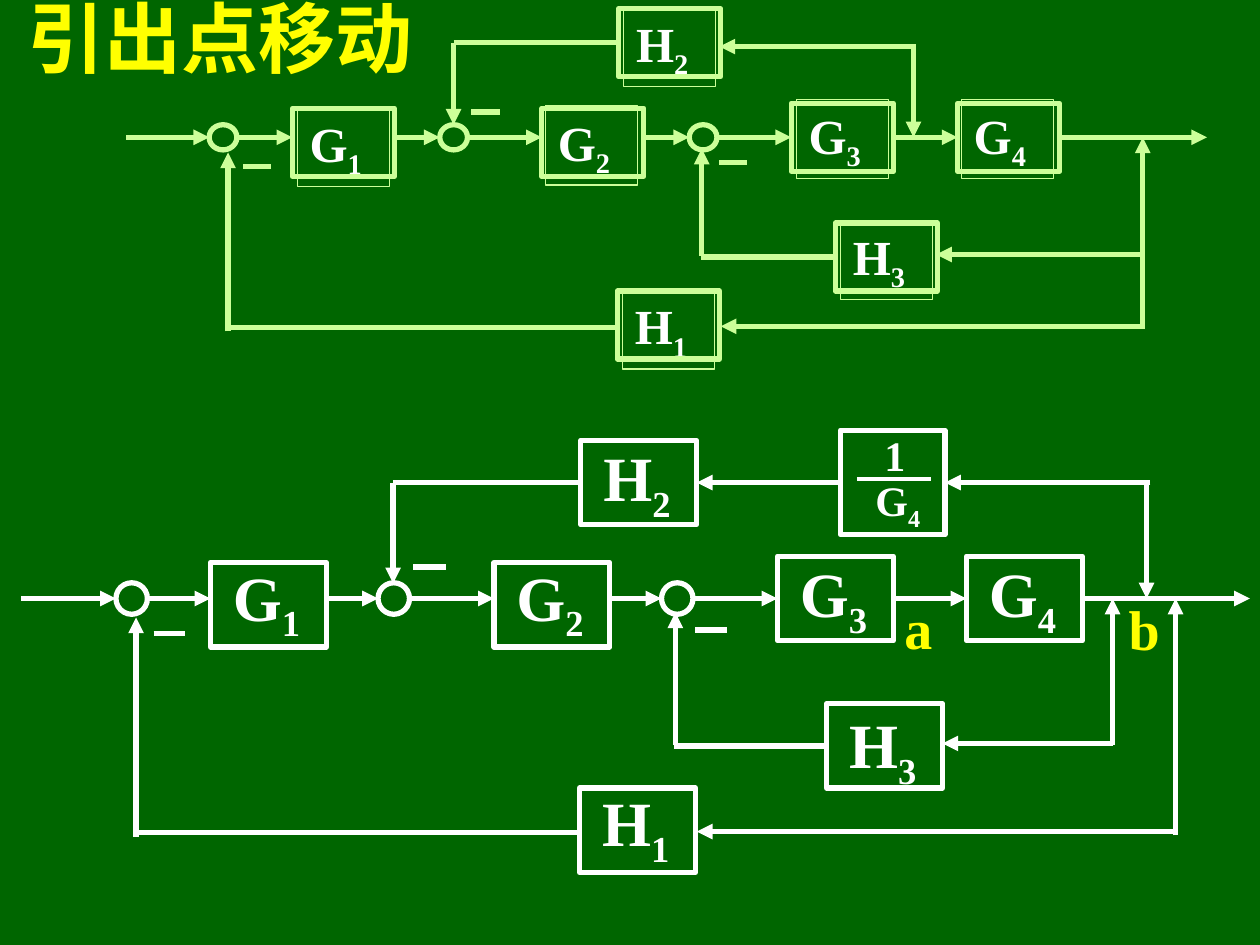
"""Build a slide on moving a branch point, with the block diagram before and after."""
from lxml import etree
from pptx import Presentation, util as u
from pptx.dml import color as c
from pptx.enum import shapes as kinds, text as t
from pptx.oxml.ns import qn

deck = Presentation()
deck.slide_width, deck.slide_height = u.Inches(10), u.Inches(7.5)
cell = deck.slide_width / 10
slide = deck.slides.add_slide(deck.slide_layouts[5])
items = slide.shapes


def ink(fill, tint):
    fill.solid()
    fill.fore_color.rgb = c.RGBColor.from_string(tint)


def write(frame, words, look, **form):
    for key, val in form.items():
        setattr(frame, key, val)
    para = frame.paragraphs[0]
    para.alignment = look["align"]
    for step, word in enumerate(words):
        run = para.add_run()
        run.text = word
        for key, val in {"name": look["face"], "size": u.Pt(look["size"]), "bold": True}.items():
            setattr(run.font, key, val)
        ink(run.font.fill, look["tint"])
        if step:
            run._r.get_or_add_rPr().set("baseline", "-25000")


ink(slide.background.fill, "006600")
title = items.title
for key, val in {"left": -0.5, "top": -0.33, "width": 4.5, "height": 1.25}.items():
    setattr(title, key, int(val * cell))
write(title.text_frame, ["引出点移动"],
      {"align": t.PP_ALIGN.CENTER, "face": "Arial", "size": 44, "tint": "FFFF00"},
      vertical_anchor=t.MSO_ANCHOR.MIDDLE)

plans = [
    {"tint": "FFFFFF", "size": 36, "block": (0.92, 0.67), "label": (0.83, 0.79), "rim": 0,
     "axis": 4.75, "ring": (0.25, 0.25), "sums": [0.92, 3, 5.25],
     "blocks": [("G1", 1.67, 4.80, 1.75, 4.38), ("G2", 3.92, 4.80, 4, 4.38),
                ("G3", 6.17, 4.75, 6.25, 4.35), ("G4", 7.67, 4.75, 7.75, 4.35),
                ("H3", 6.56, 5.92, 6.64, 5.55), ("H2", 4.61, 3.83, 4.69, 3.43),
                ("H1", 4.6, 6.59, 4.68, 6.17)],
     "flow": [(0.17, 0.92), (1.17, 1.67), (2.58, 3), (3.25, 3.92), (4.83, 5.25),
              (5.5, 6.17), (7.08, 7.67), (8.58, 9.92)],
     "arrows": [(3.12, 3.83, 3.12, 4.63), (9.33, 6.63, 9.33, 4.75), (8.83, 5.9, 7.48, 5.9),
                (9.33, 6.6, 5.53, 6.6), (5.36, 5.91, 5.36, 4.86), (1.08, 6.64, 1.08, 4.9),
                (9.1, 3.83, 9.1, 4.75), (9.13, 3.83, 7.5, 3.83), (6.67, 3.83, 5.53, 3.83),
                (8.83, 5.91, 8.83, 4.75)],
     "lines": [(1.22, 5.03, 1.47, 5.03), (5.52, 5, 5.77, 5), (3.28, 4.5, 3.54, 4.5),
               (3.12, 3.83, 4.61, 3.83), (5.35, 5.92, 6.56, 5.92), (1.09, 6.61, 4.58, 6.61)]},
    {"tint": "CCFF99", "size": 28, "block": (0.81, 0.54), "label": (0.73, 0.63), "rim": 0.75,
     "axis": 1.09, "ring": (0.22, 0.2), "sums": [1.66, 3.49, 5.47],
     "blocks": [("G1", 2.32, 1.13, 2.36, 0.85), ("G2", 4.3, 1.13, 4.33, 0.84),
                ("G3", 6.28, 1.09, 6.32, 0.79), ("G4", 7.6, 1.09, 7.63, 0.79),
                ("H3", 6.63, 2.04, 6.67, 1.75), ("H2", 4.91, 0.34, 4.95, 0.06),
                ("H1", 4.9, 2.58, 4.94, 2.3)],
     "flow": [(1, 1.66), (1.88, 2.32), (3.13, 3.49), (3.71, 4.3), (5.11, 5.47),
              (5.69, 6.28), (7.1, 7.58), (8.41, 9.58)],
     "arrows": [(7.25, 0.37, 7.25, 1.09), (7.27, 0.37, 5.71, 0.37), (3.6, 0.34, 3.6, 0.99),
                (9.07, 2.61, 9.07, 1.09), (9.08, 2.02, 7.43, 2.02), (9.06, 2.59, 5.72, 2.59),
                (5.57, 2.03, 5.57, 1.18), (1.81, 2.63, 1.81, 1.21)],
     "lines": [(1.93, 1.32, 2.15, 1.32), (5.71, 1.29, 5.93, 1.29), (3.74, 0.89, 3.97, 0.89),
               (3.6, 0.34, 4.91, 0.34), (5.56, 2.04, 6.63, 2.04), (1.81, 2.6, 4.89, 2.6)]},
]

for plan in plans:
    wide, high = plan["block"]
    frames = [("RECTANGLE", left, mid, wide, high) for _, left, mid, *_ in plan["blocks"]]
    frames += [("OVAL", left, plan["axis"], *plan["ring"]) for left in plan["sums"]]
    notes = [(name, left, top, *plan["label"], plan["size"], plan["tint"], plan["rim"])
             for name, _, _, left, top in plan["blocks"]]
    runs = [(x, plan["axis"], end, plan["axis"]) for x, end in plan["flow"]]
    wires = [(3, True, *run) for run in runs + plan["arrows"]]
    wires += [(3, False, *run) for run in plan["lines"]]
    if plan is plans[0]:
        frames.append(("RECTANGLE", 6.67, 3.83, 0.83, 0.83))
        wires.append((2, False, 6.8, 3.8, 7.39, 3.8))
        notes += [("G4", 6.85, 3.72, 0.64, 0.56, 24, "FFFFFF", 0),
                  ("1", 6.92, 3.36, 0.33, 0.5, 24, "FFFFFF", 0),
                  ("a", 7.08, 4.66, 0.5, 0.64, 32, "FFFF00", 0),
                  ("b", 8.86, 4.67, 0.5, 0.64, 32, "FFFF00", 0)]

    for name, left, top, w, h, size, tint, rim in notes:
        box = items.add_textbox(*(int(n * cell) for n in (left, top, w, h)))
        look = {"align": t.PP_ALIGN.LEFT, "face": "Times New Roman", "size": size,
                "tint": "FFFFFF" if rim else tint}
        write(box.text_frame, name, look, word_wrap=True, auto_size=t.MSO_AUTO_SIZE.NONE)
        if rim:
            ink(box.line.fill, tint)
            box.line.width = u.Pt(rim)

    ports = []
    for kind, left, mid, w, h in frames:
        area = (int(n * cell) for n in (left, mid - h / 2, w, h))
        shape = items.add_shape(kinds.MSO_SHAPE[kind], *area)
        shape.shadow.inherit = False
        shape.fill.background()
        ink(shape.line.fill, plan["tint"])
        shape.line.width = u.Pt(3)
        if kind == "RECTANGLE":
            ports += [(shape, 1, left, mid), (shape, 3, left + w, mid)]

    for width, arrow, *ends in wires:
        wire = items.add_connector(kinds.MSO_CONNECTOR.STRAIGHT, *(int(n * cell) for n in ends))
        ink(wire.line.fill, plan["tint"])
        wire.line.width = u.Pt(width)
        etree.SubElement(wire._element.spPr, qn("a:effectLst"))
        if arrow:
            etree.SubElement(wire.line._get_or_add_ln(), qn("a:tailEnd"), type="triangle")
        for join, x, y in ((wire.begin_connect, *ends[:2]), (wire.end_connect, *ends[2:])):
            for shape, side, px, py in ports:
                if abs(x - px) < 0.035 and abs(y - py) < 0.005:
                    join(shape, side)

deck.save("out.pptx")
